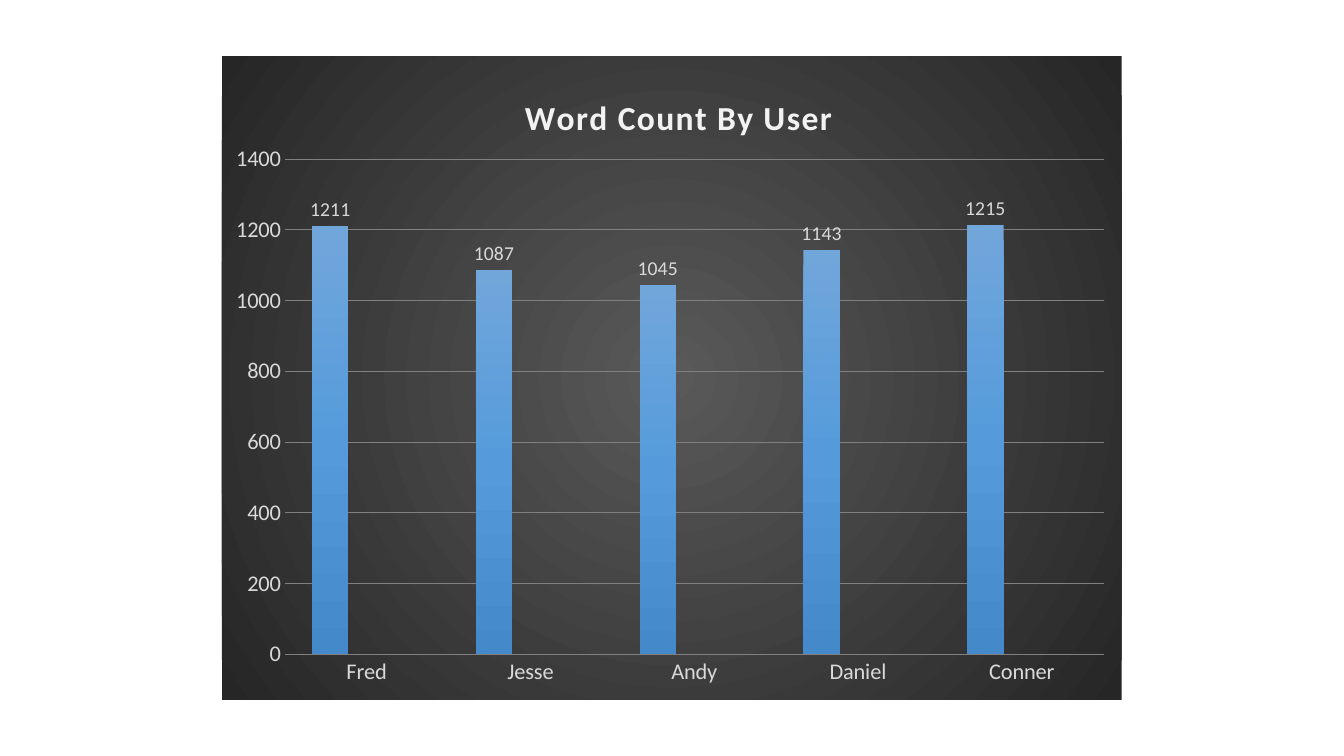
from dataclasses import dataclass

from lxml.etree import SubElement
from pptx import Presentation
from pptx.chart.data import CategoryChartData
from pptx.dml.color import RGBColor
from pptx.enum.chart import XL_CHART_TYPE, XL_LABEL_POSITION, XL_TICK_MARK
from pptx.oxml import parse_xml
from pptx.oxml.ns import nsdecls, qn
from pptx.util import Cm, Pt


@dataclass(frozen=True)
class Theme:
    face: str = "Calibri"
    title: str = "F2F2F2"
    text: str = "D9D9D9"
    grid: str = "808080"
    back: tuple = ((0, "595959"), (100, "262626"))
    bars: tuple = (
        ((0, "71A6DB"), (50, "559BDB"), (100, "448ACA")),
        ((0, "F18C57"), (50, "F67B28"), (100, "E56C19")),
        ((0, "AFAFAF"), (50, "A5A5A5"), (100, "939393")),
    )
    title_size: int = 24
    axis_size: int = 16
    label_sizes: tuple = (14, 9, 9)


THEME = Theme()
USERS = ("Fred", "Jesse", "Andy", "Daniel", "Conner")
COUNTS = (1211, 1087, 1045, 1143, 1215)
BLANK = (None,) * len(USERS)
LINEAR = '<a:lin ang="5400000" scaled="0"/>'
ROUND = '<a:path path="circle"><a:fillToRect l="50000" t="50000" r="50000" b="50000"/></a:path>'


def dress(target, values):
    for name, value in values.items():
        setattr(target, name, value)


def style(font, size, color, bold=False):
    dress(font, {"name": THEME.face, "size": Pt(size), "bold": bold})
    font.color.rgb = RGBColor.from_string(color)


def blend(stops, shade):
    marks = "".join(
        f'<a:gs pos="{spot * 1000}"><a:srgbClr val="{color}"/></a:gs>'
        for spot, color in stops
    )
    return parse_xml(
        f'<a:gradFill {nsdecls("a")} rotWithShape="1">'
        f"<a:gsLst>{marks}</a:gsLst>{shade}</a:gradFill>"
    )


def place(parent, index, values):
    old = parent.find(qn("c:layout"))
    if old is not None:
        parent.remove(old)
    layout = parse_xml(f'<c:layout {nsdecls("c")}><c:manualLayout/></c:layout>')
    for name, value in values.items():
        SubElement(layout[0], qn(f"c:{name}")).set("val", str(value))
    parent.insert(index, layout)


def add_chart(slide):
    data = CategoryChartData(number_format="General")
    data.categories = USERS
    for number, values in enumerate((COUNTS, BLANK, BLANK), 1):
        data.add_series(f"Series {number}", values)
    chart = slide.shapes.add_chart(
        XL_CHART_TYPE.COLUMN_CLUSTERED,
        Cm(5.59), Cm(1.42), Cm(22.68), Cm(16.21), data,
    ).chart
    chart.has_legend = False
    style(chart.font, 10, THEME.text)
    return chart


def paint_back(chart):
    props = parse_xml(
        f'<c:spPr {nsdecls("c", "a")}><a:ln><a:noFill/></a:ln></c:spPr>'
    )
    props.insert(0, blend(THEME.back, ROUND))
    chart.element.find(qn("c:chart")).addnext(props)


def set_title(chart, text):
    title = chart.chart_title
    title.include_in_layout = False
    line = title.text_frame.paragraphs[0]
    run = line.add_run()
    run.text = text
    style(run.font, THEME.title_size, THEME.title, True)
    run.font._element.set("spc", "100")
    place(title.element if hasattr(title, "element") else title._element, 1,
          {"xMode": "edge", "yMode": "edge", "x": 0.33, "y": 0.05})


def set_axis(axis, values):
    dress(axis, {
        "major_tick_mark": XL_TICK_MARK.NONE,
        "minor_tick_mark": XL_TICK_MARK.NONE,
        **values,
    })
    axis.format.line.fill.background()
    style(axis.tick_labels.font, THEME.axis_size, THEME.text)
    if axis.has_major_gridlines:
        line = axis.major_gridlines.format.line
        line.width = Pt(0.75)
        line.color.rgb = RGBColor.from_string(THEME.grid)


def set_bars(chart):
    plot = chart.plots[0]
    dress(plot, {"gap_width": 150, "overlap": 0, "vary_by_categories": False})
    nodes = chart.element.iter(qn("c:ser"))
    for bars, node, stops, size in zip(
        plot.series, nodes, THEME.bars, THEME.label_sizes
    ):
        node.get_or_add_spPr().insert(0, blend(stops, LINEAR))
        labels = bars.data_labels
        dress(labels, {
            "show_value": True,
            "position": XL_LABEL_POSITION.OUTSIDE_END,
        })
        style(labels.font, size, THEME.text)


def main():
    deck = Presentation()
    dress(deck, {"slide_width": Cm(33.87), "slide_height": Cm(19.05)})
    slide = deck.slides.add_slide(deck.slide_layouts[6])
    chart = add_chart(slide)
    paint_back(chart)
    set_title(chart, "Word Count By User")
    set_axis(chart.category_axis, {"has_major_gridlines": False})
    set_axis(chart.value_axis, {
        "has_major_gridlines": True,
        "minimum_scale": 0,
        "maximum_scale": 1400,
        "major_unit": 200,
    })
    set_bars(chart)
    place(next(chart.element.iter(qn("c:plotArea"))), 0, {
        "layoutTarget": "inner", "xMode": "edge", "yMode": "edge",
        "x": 0.07, "y": 0.16, "w": 0.91, "h": 0.77,
    })
    deck.save("out.pptx")


if __name__ == "__main__":
    main()
